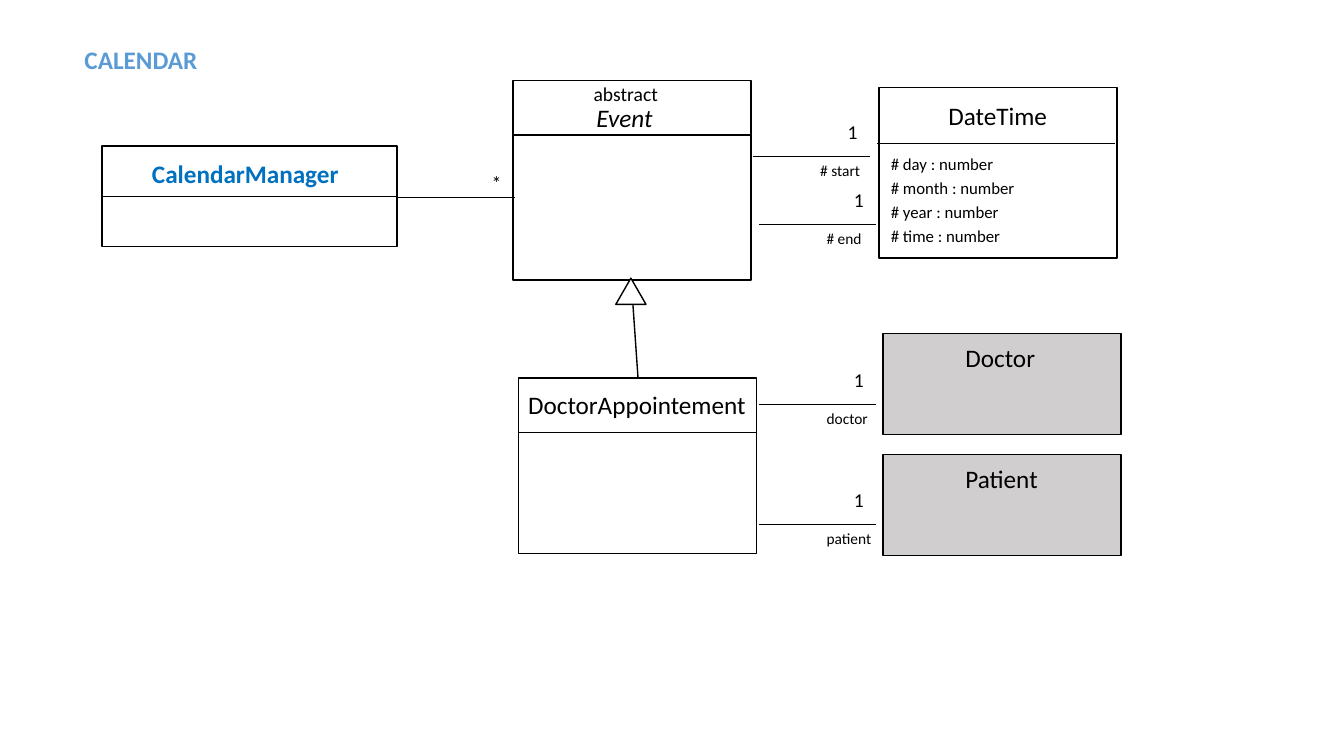
from pptx import Presentation
from pptx.dml.color import RGBColor
from pptx.enum.shapes import MSO_CONNECTOR as Link, MSO_SHAPE as Kind
from pptx.enum.text import MSO_AUTO_SIZE as Fit
from pptx.oxml.ns import qn
from pptx.util import Cm, Pt
from lxml.etree import SubElement

hue = RGBColor.from_string
HIGH = {18: 1.02, 14: 0.86, 12: 0.76, 11: 0.74}

deck = Presentation()
deck.slide_width, deck.slide_height = Cm(33.87), Cm(19.05)
slide = deck.slides.add_slide(deck.slide_layouts[6])
shapes = slide.shapes


def line(x1, y1, x2, y2):
    rule = shapes.add_connector(Link.STRAIGHT, Cm(x1), Cm(y1), Cm(x2), Cm(y2))
    rule.line.color.rgb = hue("000000")
    rule.line.width = Pt(1)
    SubElement(rule._element.spPr, qn("a:effectLst"))


def label(text, x, y, wide, size, color="000000", bold=False, italic=False):
    box = shapes.add_textbox(Cm(x), Cm(y), Cm(wide), Cm(HIGH[size]))
    frame = box.text_frame
    frame.word_wrap = False
    frame.auto_size = Fit.SHAPE_TO_FIT_TEXT
    run = frame.paragraphs[0].add_run()
    run.text = text
    font = run.font
    font.name, font.size = "Calibri", Pt(size)
    font.bold, font.italic = bold, italic
    font.color.rgb = hue(color)


# Class boxes and the inheritance arrowhead
for kind, x, y, wide, high, fill in [
    (Kind.RECTANGLE, 12.93, 2.03, 6, 5.03, "FFFFFF"),    # Event
    (Kind.RECTANGLE, 2.57, 3.68, 7.44, 2.54, "FFFFFF"),  # CalendarManager
    (Kind.RECTANGLE, 22.15, 2.21, 6, 4.29, "FFFFFF"),    # DateTime
    (Kind.RECTANGLE, 13.06, 9.53, 6, 4.42, "FFFFFF"),    # DoctorAppointement
    (Kind.RECTANGLE, 22.25, 8.41, 6, 2.54, "D0CECE"),    # Doctor
    (Kind.RECTANGLE, 22.25, 11.46, 6, 2.54, "D0CECE"),   # Patient
    (Kind.ISOSCELES_TRIANGLE, 15.52, 7.01, 0.76, 0.66, "FFFFFF"),
]:
    box = shapes.add_shape(kind, Cm(x), Cm(y), Cm(wide), Cm(high))
    box.shadow.inherit = False
    box.fill.solid()
    box.fill.fore_color.rgb = hue(fill)
    box.line.color.rgb = hue("000000")
    box.line.width = Pt(1)

# Dividers under the class names
for x, y, wide in [(12.93, 3.4, 6), (2.57, 4.95, 7.44),
                   (22.1, 3.61, 6), (13.06, 10.9, 6)]:
    line(x, y, x + wide, y)

# Inheritance line
line(16.08, 9.53, 15.95, 7.67)

# Title and class names
label("CALENDAR", 1.88, 0.99, 3.38, 18, "5B9BD5", bold=True)
label("CalendarManager", 3.58, 3.86, 5.26, 18, "0070C0", bold=True)
label("abstract", 14.71, 1.93, 2.16, 14)
label("Event", 14.78, 2.46, 1.96, 18, italic=True)
label("DateTime", 23.65, 2.41, 3.02, 18)
label("DoctorAppointement", 13.06, 9.68, 6.07, 18)
label("Doctor", 24.08, 8.51, 2.31, 18)
label("Patient", 24.08, 11.56, 2.36, 18)

# DateTime fields
for row, (name, wide) in enumerate([("day", 3.12), ("month", 3.66),
                                    ("year", 3.25), ("time", 3.3)]):
    label(f"# {name} : number", 22.2, 3.76 + 0.6 * row, wide, 12)

# Associations: line, count above, role below
for x, y, role, wide in [(18.97, 3.94, "# start", 1.52),
                         (19.13, 5.66, "# end", 1.4),
                         (19.13, 10.19, "doctor", 1.55),
                         (19.13, 13.21, "patient", 1.65)]:
    line(x, y, x + 2.95, y)
    label("1", x + 2.14, y - 1.05, 0.76, 14)
    label(role, x + 1.45, y, wide, 11)

line(10.03, 4.98, 12.98, 4.98)
label("*", 12.14, 4.17, 0.76, 14)

deck.save("out.pptx")
